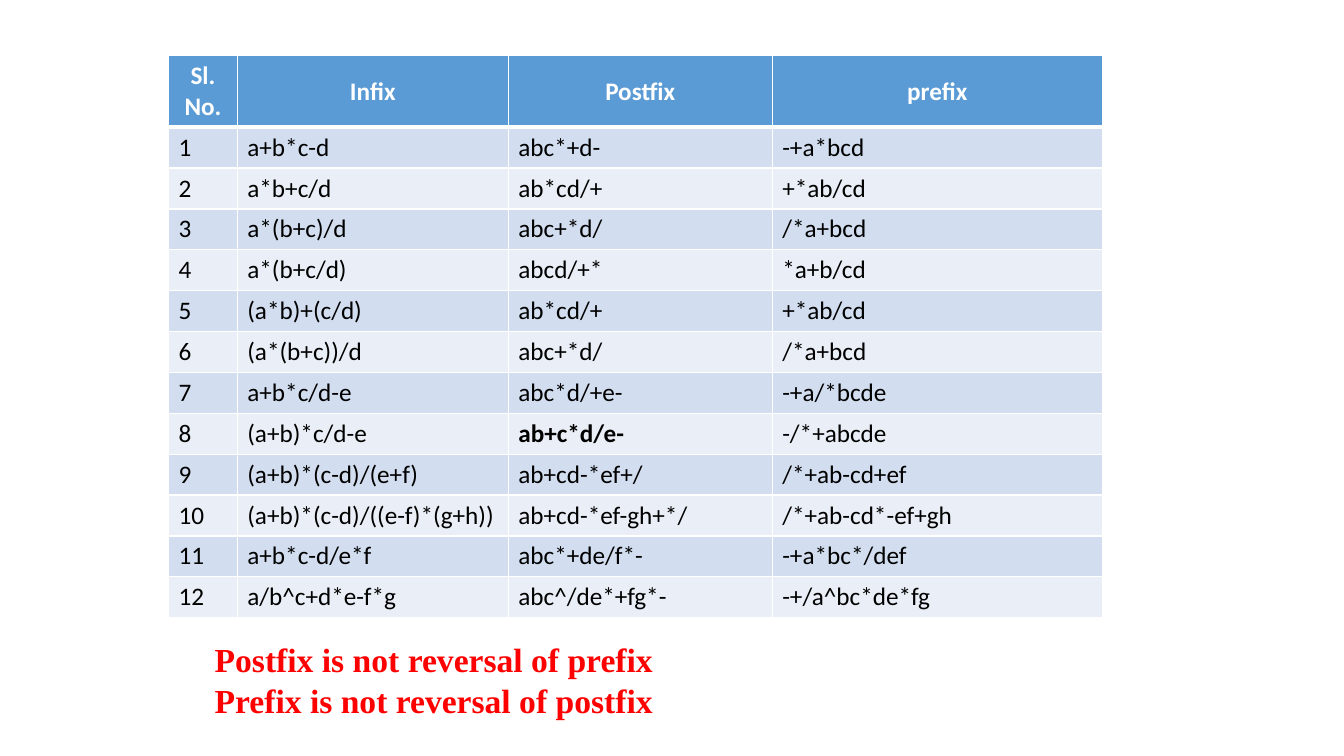
from pptx import Presentation
from pptx.dml.color import RGBColor
from pptx.enum.text import MSO_ANCHOR, MSO_AUTO_SIZE, PP_ALIGN
from pptx.oxml.ns import qn
from pptx.util import Cm, Pt
from lxml import etree

CENTER, LEFT = PP_ALIGN.CENTER, PP_ALIGN.LEFT
MIDDLE, TOP = MSO_ANCHOR.MIDDLE, MSO_ANCHOR.TOP
GROW = MSO_AUTO_SIZE.SHAPE_TO_FIT_TEXT

WHITE, BLACK, RED, BLUE = "FFFFFF", "000000", "FF0000", "5B9BD5"
BANDS = ("D2DEEF", "EAEFF7")
COLUMN_WIDTHS = (1.73, 6.83, 6.65, 8.32)
HEADER_HEIGHT, ROW_HEIGHT = 1.78, 1.03
THIN, THICK = 1, 3

HEADINGS = ("Sl. No.", "Infix", "Postfix", "prefix")
EXPRESSIONS = (
    ("a+b*c-d", "abc*+d-", "-+a*bcd"),
    ("a*b+c/d", "ab*cd/+", "+*ab/cd"),
    ("a*(b+c)/d", "abc+*d/", "/*a+bcd"),
    ("a*(b+c/d)", "abcd/+*", "*a+b/cd"),
    ("(a*b)+(c/d)", "ab*cd/+", "+*ab/cd"),
    ("(a*(b+c))/d", "abc+*d/", "/*a+bcd"),
    ("a+b*c/d-e", "abc*d/+e-", "-+a/*bcde"),
    ("(a+b)*c/d-e", "ab+c*d/e-", "-/*+abcde"),
    ("(a+b)*(c-d)/(e+f)", "ab+cd-*ef+/", "/*+ab-cd+ef"),
    ("(a+b)*(c-d)/((e-f)*(g+h))", "ab+cd-*ef-gh+*/", "/*+ab-cd*-ef+gh"),
    ("a+b*c-d/e*f", "abc*+de/f*-", "-+a*bc*/def"),
    ("a/b^c+d*e-f*g", "abc^/de*+fg*-", "-+/a^bc*de*fg"),
)
EMPHASISED = "ab+c*d/e-"
REMARKS = ("Postfix is not reversal of prefix", "Prefix is not reversal of postfix")


def rgb(hex_color):
    """Turn a hex string into a colour."""
    return RGBColor.from_string(hex_color)


def write(paragraph, text, font="Calibri", size=18, color=BLACK, bold=False, align=LEFT):
    """Put formatted text into a paragraph."""
    paragraph.alignment = align
    run = paragraph.add_run()
    run.text = text
    run.font.name = font
    run.font.size = Pt(size)
    run.font.bold = bold
    run.font.color.rgb = rgb(color)


def add_borders(cell, top, bottom):
    """Give a cell white borders with the given top and bottom widths in points."""
    properties = cell._tc.get_or_add_tcPr()
    for tag, width in (("a:lnL", THIN), ("a:lnR", THIN), ("a:lnT", top), ("a:lnB", bottom)):
        border = etree.SubElement(properties, qn(tag), w=str(Pt(width)))
        fill = etree.SubElement(border, qn("a:solidFill"))
        etree.SubElement(fill, qn("a:srgbClr"), val=WHITE)


def add_notation_table(slide, left, top):
    """Place the table of infix, postfix and prefix forms at a corner in centimetres."""
    rows = [HEADINGS] + [(str(n), *forms) for n, forms in enumerate(EXPRESSIONS, 1)]
    height = HEADER_HEIGHT + ROW_HEIGHT * len(EXPRESSIONS)
    table = slide.shapes.add_table(
        len(rows), len(HEADINGS), Cm(left), Cm(top), Cm(sum(COLUMN_WIDTHS)), Cm(height)
    ).table
    for column, width in zip(table.columns, COLUMN_WIDTHS):
        column.width = Cm(width)
    for r, texts in enumerate(rows):
        header = r == 0
        table.rows[r].height = Cm(HEADER_HEIGHT if header else ROW_HEIGHT)
        for c, text in enumerate(texts):
            cell = table.cell(r, c)
            add_borders(cell, THICK if r == 1 else THIN, THICK if header else THIN)
            cell.fill.solid()
            cell.fill.fore_color.rgb = rgb(BLUE if header else BANDS[(r - 1) % 2])
            cell.vertical_anchor = MIDDLE if header else TOP
            write(
                cell.text_frame.paragraphs[0],
                text,
                color=WHITE if header else BLACK,
                bold=header or text == EMPHASISED,
                align=CENTER if header else LEFT,
            )


def add_remarks(slide, left, top, width, height):
    """Place the red remarks in a box given in centimetres."""
    frame = slide.shapes.add_textbox(Cm(left), Cm(top), Cm(width), Cm(height)).text_frame
    frame.word_wrap = True
    frame.auto_size = GROW
    for i, remark in enumerate(REMARKS):
        paragraph = frame.add_paragraph() if i else frame.paragraphs[0]
        write(paragraph, remark, font="Times New Roman", size=24, color=RED, bold=True)


def main():
    """Build the slide and save it."""
    presentation = Presentation()
    presentation.slide_width, presentation.slide_height = Cm(33.87), Cm(19.05)
    slide = presentation.slides.add_slide(presentation.slide_layouts[6])
    add_notation_table(slide, 4.25, 1.4)
    add_remarks(slide, 5.16, 15.98, 15.32, 2.31)
    presentation.save("out.pptx")


if __name__ == "__main__":
    main()
